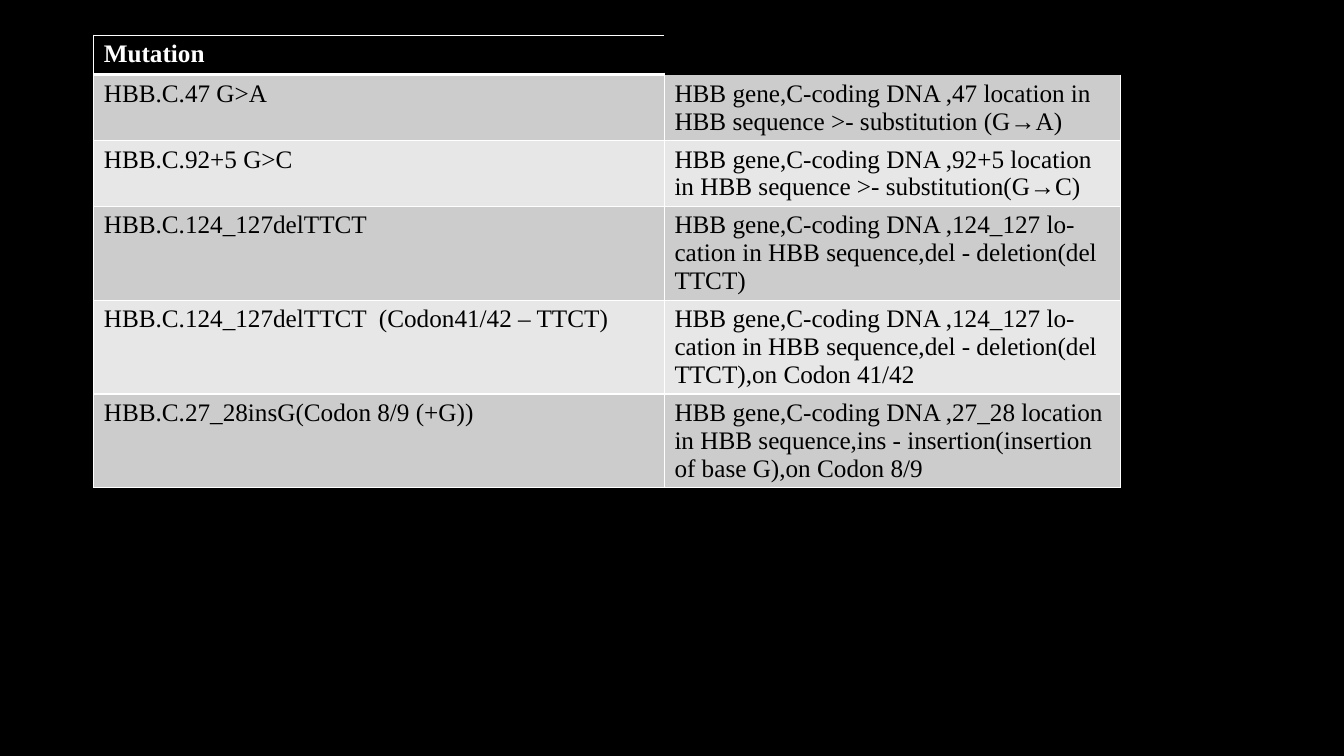
import pptx
import pptx.dml.color
import pptx.oxml.ns
import pptx.util
from lxml import etree

Inches = pptx.util.Inches

HEADING = ("Mutation", "")
MUTATIONS = [
    ("HBB.C.47 G>A",
     "HBB gene,C-coding DNA ,47 location in HBB sequence >- substitution (G→A)"),
    ("HBB.C.92+5 G>C",
     "HBB gene,C-coding DNA ,92+5 location in HBB sequence >- substitution(G→C)"),
    ("HBB.C.124_127delTTCT",
     "HBB gene,C-coding DNA ,124_127 lo-cation in HBB sequence,del - deletion(del TTCT)"),
    ("HBB.C.124_127delTTCT  (Codon41/42 – TTCT)",
     "HBB gene,C-coding DNA ,124_127 lo-cation in HBB sequence,del - deletion(del TTCT),on Codon 41/42"),
    ("HBB.C.27_28insG(Codon 8/9 (+G))",
     "HBB gene,C-coding DNA ,27_28 location in HBB sequence,ins - insertion(insertion of base G),on Codon 8/9"),
]
COLUMN_WIDTHS = (5.66, 4.52)
ROW_HEIGHT = 0.39
BLACK, WHITE = "000000", "FFFFFF"
BANDS = ("CCCCCC", "E7E7E7")
MUTATION_HEADING_EDGES = {"L": 1, "T": 1, "B": 3}
EMPTY_HEADING_EDGES = {}
FIRST_MUTATION_EDGES = {"L": 1, "R": 1, "B": 3, "T": 3}
FIRST_MEANING_EDGES = {"L": 1, "R": 1, "B": 1}
OTHER_EDGES = {"L": 1, "R": 1, "T": 1, "B": 1}


def colour(hex_code):
    return pptx.dml.color.RGBColor.from_string(hex_code)


def paint(fill, hex_code):
    fill.solid()
    fill.fore_color.rgb = colour(hex_code)


def draw_edges(cell, edges):
    qn = pptx.oxml.ns.qn
    properties = cell._tc.get_or_add_tcPr()
    for side in "LRTB":
        width = pptx.util.Pt(edges.get(side, 0))
        line = etree.SubElement(properties, qn(f"a:ln{side}"), w=str(int(width)))
        if side in edges:
            solid = etree.SubElement(line, qn("a:solidFill"))
            etree.SubElement(solid, qn("a:srgbClr"), val=WHITE)
        else:
            etree.SubElement(line, qn("a:noFill"))


def edges_for(row, column):
    if row == 0:
        return (MUTATION_HEADING_EDGES, EMPTY_HEADING_EDGES)[column]
    if row == 1:
        return (FIRST_MUTATION_EDGES | {"B": 1}, FIRST_MEANING_EDGES)[column]
    return OTHER_EDGES


def main():
    deck = pptx.Presentation()
    deck.slide_width, deck.slide_height = Inches(13.33), Inches(7.5)
    slide = deck.slides.add_slide(deck.slide_layouts[6])
    paint(slide.background.fill, BLACK)

    rows = [HEADING, *MUTATIONS]
    table = slide.shapes.add_table(
        len(rows), len(COLUMN_WIDTHS), Inches(0.93), Inches(0.35),
        Inches(sum(COLUMN_WIDTHS)), Inches(ROW_HEIGHT * len(rows))).table
    for column, width in zip(table.columns, COLUMN_WIDTHS):
        column.width = Inches(width)

    for r, row in enumerate(rows):
        table.rows[r].height = Inches(ROW_HEIGHT)
        for c, wording in enumerate(row):
            cell = table.cell(r, c)
            cell.text = wording
            draw_edges(cell, edges_for(r, c))
            paint(cell.fill, BANDS[(r - 1) % 2] if r else BLACK)
            font = cell.text_frame.paragraphs[0].font
            font.name = "Times New Roman"
            font.size = pptx.util.Pt(18)
            font.bold = r == 0
            font.color.rgb = colour(BLACK if r else WHITE)

    deck.save("out.pptx")


if __name__ == "__main__":
    main()
